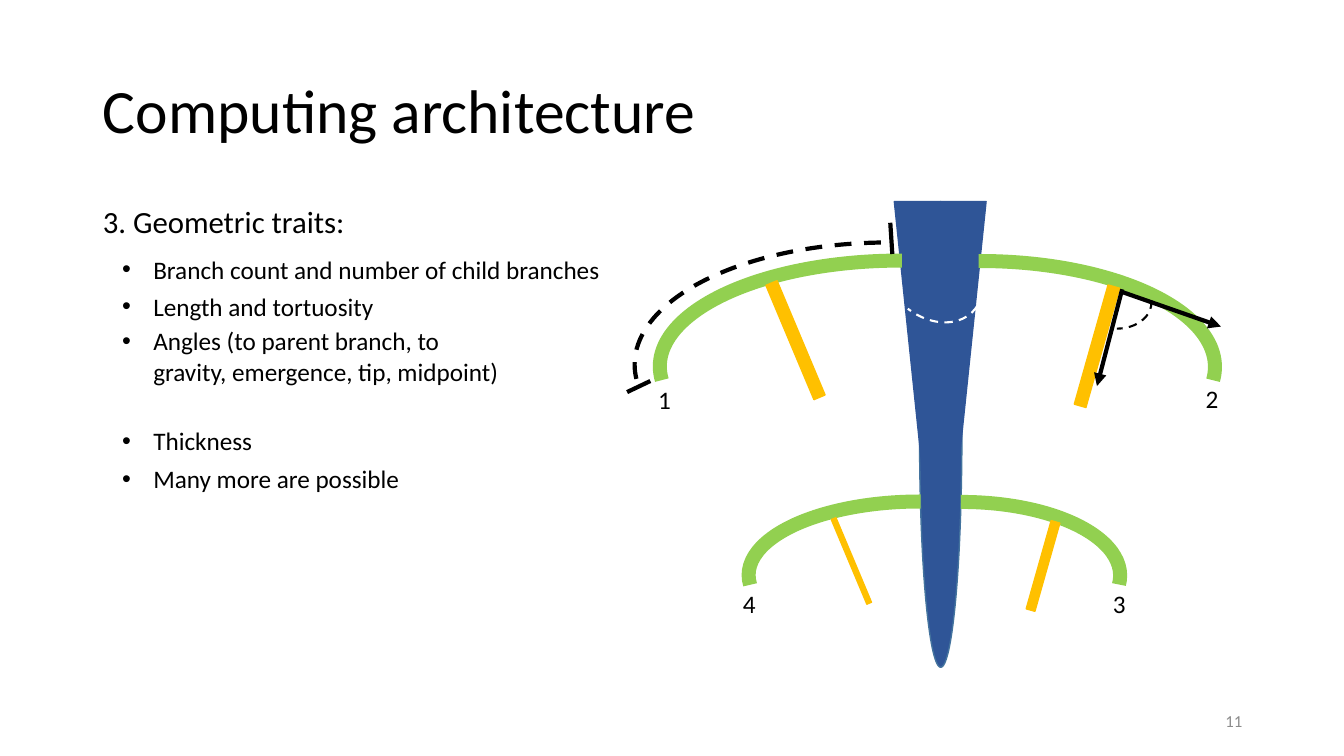
from lxml.etree import SubElement
from pptx import Presentation
from pptx.dml.color import RGBColor
from pptx.enum.dml import MSO_LINE
from pptx.enum.shapes import MSO_CONNECTOR, MSO_SHAPE
from pptx.enum.text import MSO_ANCHOR, PP_ALIGN
from pptx.oxml.ns import qn
from pptx.util import Inches, Pt

COLORS = {
    "text": "000000",
    "number": "8C8C8C",
    "root": "2F5597",
    "root_edge": "43739E",
    "branch": "92D050",
    "child": "FFC000",
    "mark": "000000",
    "light": "FFFFFF",
}


class TraitSlide:
    font_name = "Calibri"
    arc_adjustments = (160.03, 0.48)

    def __init__(self, presentation):
        self.slide = presentation.slides.add_slide(presentation.slide_layouts[1])

    def color(self, name):
        return RGBColor.from_string(COLORS[name])

    def style(self, paragraph, size, color="text", align=PP_ALIGN.LEFT):
        paragraph.alignment = align
        paragraph.font.name = self.font_name
        paragraph.font.size = Pt(size)
        paragraph.font.color.rgb = self.color(color)

    def move(self, shape, left, top, width, height):
        shape.left, shape.top = Inches(left), Inches(top)
        shape.width, shape.height = Inches(width), Inches(height)

    def title(self, text, box):
        shape = self.slide.shapes.title
        self.move(shape, *box)
        shape.text_frame.text = text
        shape.text_frame.vertical_anchor = MSO_ANCHOR.MIDDLE
        paragraph = shape.text_frame.paragraphs[0]
        paragraph.line_spacing = 0.9
        self.style(paragraph, 44)

    def indent(self, paragraph, margin, hanging, bullet=None):
        properties = paragraph._p.get_or_add_pPr()
        properties.set("marL", str(Inches(margin)))
        properties.set("indent", str(-Inches(hanging)))
        if bullet:
            SubElement(properties, qn("a:buFont"), typeface="Arial")
            SubElement(properties, qn("a:buChar"), char=bullet)
        else:
            SubElement(properties, qn("a:buNone"))

    def trait_list(self, heading, traits, box):
        shape = self.slide.placeholders[1]
        self.move(shape, *box)
        frame = shape.text_frame
        frame.text = heading
        paragraph = frame.paragraphs[0]
        self.indent(paragraph, 0, 0)
        paragraph.line_spacing = 0.9
        paragraph.space_before = Pt(0)
        self.style(paragraph, 22)
        for text, space in traits:
            paragraph = frame.add_paragraph()
            paragraph.text = text
            self.indent(paragraph, 0.5, 0.31, "•")
            paragraph.line_spacing = 1.0
            paragraph.space_before = Pt(space)
            self.style(paragraph, 18)

    def label(self, text, box, size=18, color="text", align=PP_ALIGN.LEFT):
        shape = self.slide.shapes.add_textbox(*map(Inches, box))
        frame = shape.text_frame
        frame.text = text
        frame.word_wrap = align == PP_ALIGN.RIGHT
        frame.vertical_anchor = MSO_ANCHOR.MIDDLE
        self.style(frame.paragraphs[0], size, color, align)

    def outline(self, line, color, width, dashed=False):
        line.color.rgb = self.color(color)
        line.width = Pt(width)
        if dashed:
            line.dash_style = MSO_LINE.DASH

    def solid(self, kind, box, fill, edge, rotation=0):
        shape = self.slide.shapes.add_shape(kind, *map(Inches, box))
        shape.shadow.inherit = False
        shape.rotation = rotation
        shape.fill.solid()
        shape.fill.fore_color.rgb = self.color(fill)
        self.outline(shape.line, edge, 1)

    def arc(self, box, color, width, rotation=270, flipped=False, dashed=False):
        shape = self.slide.shapes.add_shape(MSO_SHAPE.ARC, *map(Inches, box))
        shape.shadow.inherit = False
        shape.rotation = rotation
        for index, value in enumerate(self.arc_adjustments):
            shape.adjustments[index] = value
        if flipped:
            shape._element.spPr.find(qn("a:xfrm")).set("flipV", "1")
        shape.fill.background()
        self.outline(shape.line, color, width, dashed)

    def line(self, start, end, arrow=False):
        connector = self.slide.shapes.add_connector(
            MSO_CONNECTOR.STRAIGHT, *map(Inches, start + end))
        self.outline(connector.line, "mark", 3)
        if arrow:
            SubElement(connector.line._get_or_add_ln(), qn("a:tailEnd"), type="triangle")
        SubElement(connector._element.spPr, qn("a:effectLst"))


def main():
    presentation = Presentation()
    presentation.slide_width = Inches(13.33)
    presentation.slide_height = Inches(7.5)
    page = TraitSlide(presentation)

    page.title("Computing architecture", (0.92, 0.4, 11.5, 1.45))
    page.trait_list("3. Geometric traits:", [
        ("Branch count and number of child branches", 10.2),
        ("Length and tortuosity", 4.7),
        ("Angles (to parent branch, to\vgravity, emergence, tip, midpoint)", 3.2),
        ("Thickness", 28.1),
        ("Many more are possible", 5.4),
    ], (0.92, 2, 5.25, 4.76))
    page.label("11", (9.42, 6.95, 3, 0.4), 12, "number", PP_ALIGN.RIGHT)

    page.solid(MSO_SHAPE.OVAL, (9.12, 2, 0.42, 4.62), "root", "root_edge")
    page.solid(MSO_SHAPE.ISOSCELES_TRIANGLE, (8.87, 2, 0.91, 4.37), "root", "root", 180)

    for box, flipped in [
        ((7.88, 1.25, 2.1, 4.77), False),
        ((8.67, 1.31, 2.1, 4.66), True),
        ((8.81, 4.14, 1.46, 3.14), True),
        ((8.39, 4.01, 1.46, 3.39), False),
    ]:
        page.arc(box, "branch", 10, flipped=flipped)

    page.arc((7.6, 1.1, 2.42, 5.03), "mark", 3, dashed=True)
    page.line((6.22, 3.89), (6.45, 3.78))
    page.line((8.85, 2.52), (8.83, 2.21))

    for box, rotation in [
        ((7.83, 2.76, 0.12, 1.23), 337.2),
        ((10.82, 2.82, 0.12, 1.23), 15.8),
        ((10.3, 5.16, 0.09, 0.91), 15.8),
        ((8.42, 5.11, 0.05, 0.91), 337.2),
    ]:
        page.solid(MSO_SHAPE.RECTANGLE, box, "child", "child", rotation)

    page.arc((10.82, 2.66, 0.52, 0.68), "mark", 1.5, rotation=90, dashed=True)
    page.line((11.11, 2.89), (12.11, 3.24), arrow=True)
    page.line((11.13, 2.87), (10.88, 3.83), arrow=True)
    page.arc((8.85, 2.22, 0.81, 1.05), "light", 1.5, rotation=127.5, dashed=True)

    branch_labels = [(6.43, 3.76), (11.86, 3.75), (10.94, 5.79), (7.27, 5.79)]
    for number, (left, top) in enumerate(branch_labels, start=1):
        page.label(str(number), (left, top, 0.33, 0.4))

    presentation.save("out.pptx")


if __name__ == "__main__":
    main()
